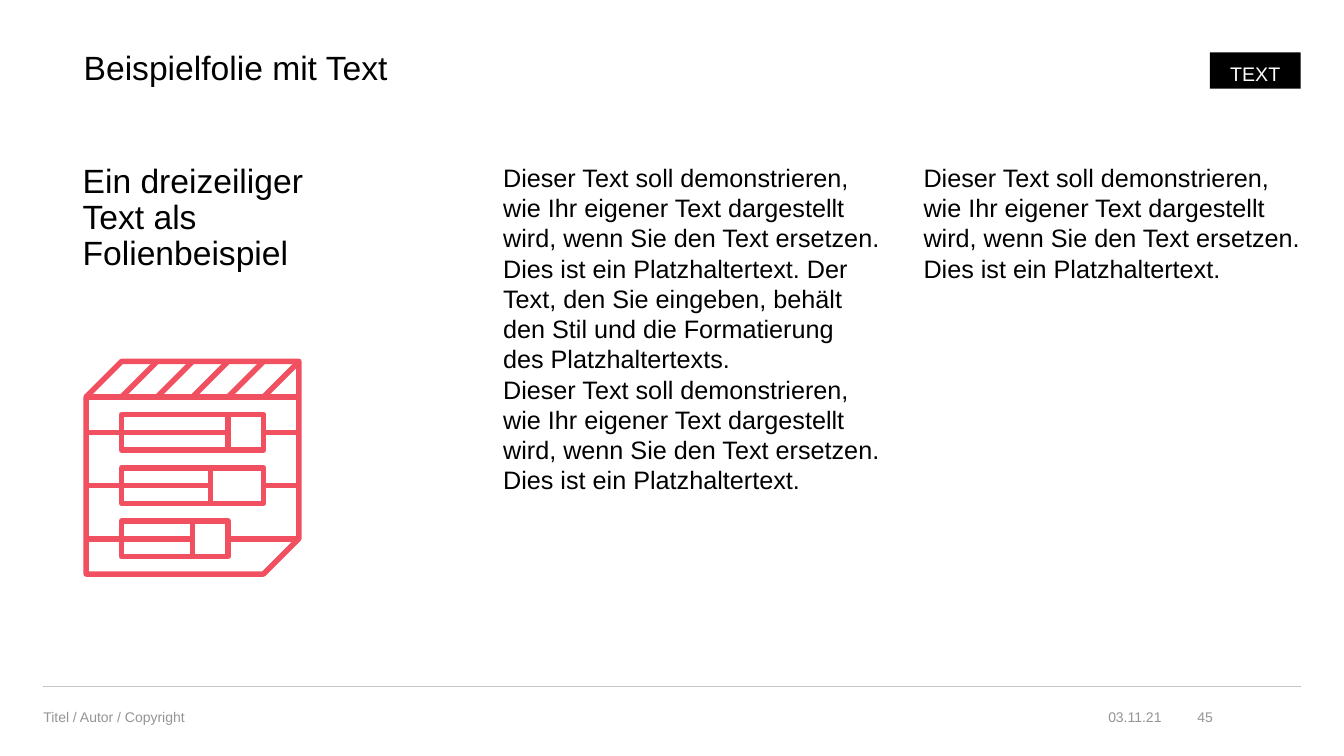
"""Build the example text slide with a heading, a slider icon and two text columns."""
import pptx
import pptx.util
import pptx.dml.color
import pptx.enum.shapes
import pptx.enum.text
from lxml import etree
from pptx.oxml.ns import qn

Inches = pptx.util.Inches
ALIGN = pptx.enum.text.PP_ALIGN
ANCHOR = pptx.enum.text.MSO_ANCHOR

BLACK, WHITE, GREY, RULE, CORAL = "000000", "FFFFFF", "949494", "C5C5C5", "F15060"

TITLE = "Beispielfolie mit Text"
TAG = "TEXT"
HEADING = ["Ein dreizeiliger", "Text als", "Folienbeispiel"]
DEMO = ("Dieser Text soll demonstrieren, wie Ihr eigener Text dargestellt wird, "
        "wenn Sie den Text ersetzen. Dies ist ein Platzhaltertext.")
STYLE_NOTE = (" Der Text, den Sie eingeben, behält den Stil und die Formatierung "
              "des Platzhaltertexts.")
COLUMNS = [(4.99, [DEMO + STYLE_NOTE, DEMO]), (9.16, [DEMO])]
FOOTER = [
    ("Titel / Autor / Copyright", 0.43, 6.07, ALIGN.LEFT),
    ("03.11.21", 10.77, 0.75, ALIGN.RIGHT),
    ("45", 11.72, 0.31, ALIGN.RIGHT),
]

ICON_LEFT, ICON_TOP, ICON_SIZE, STEP = 0.855, 3.585, 2.11, 0.352
SLIDERS = [(4, 5), (3.5, 5), (3, 4)]
SLIDER_PITCH = 1.5
STRIPES = 5


def rgb(color):
    return pptx.dml.color.RGBColor.from_string(color)


def write(frame, paragraphs, size, color, align=ALIGN.LEFT, anchor=ANCHOR.TOP,
          spacing=None, insets=(0, 0), wrap=True):
    frame.word_wrap = wrap
    frame.auto_size = pptx.enum.text.MSO_AUTO_SIZE.NONE
    frame.vertical_anchor = anchor
    frame.margin_left = frame.margin_right = Inches(insets[0])
    frame.margin_top = frame.margin_bottom = Inches(insets[1])
    for index, lines in enumerate(paragraphs):
        paragraph = frame.add_paragraph() if index else frame.paragraphs[0]
        paragraph.alignment = align
        if spacing:
            paragraph.line_spacing = spacing
        for number, line in enumerate(lines):
            if number:
                paragraph.add_line_break()
            run = paragraph.add_run()
            run.text = line
            run.font.name = "Arial"
            run.font.size = pptx.util.Pt(size)
            run.font.color.rgb = rgb(color)


def add_text(slide, box, paragraphs, *style, **options):
    frame = slide.shapes.add_textbox(*map(Inches, box)).text_frame
    write(frame, paragraphs, *style, **options)


def icon_strokes():
    """Return the icon's strokes in steps from its top left corner."""
    side = ICON_SIZE / STEP
    strokes = [
        [(0, 1), (1, 0), (side, 0), (side, side - 1), (side - 1, side), (0, side), (0, 1)],
        [(0, 1), (side, 1)],
    ]
    strokes += [[(i + 1, 1), (i + 2, 0)] for i in range(STRIPES)]
    for index, (knob, end) in enumerate(SLIDERS):
        top = 1.5 + index * SLIDER_PITCH
        middle, bottom = top + 0.5, top + 1
        strokes += [
            [(1, top), (end, top), (end, bottom), (1, bottom), (1, top)],
            [(knob, top), (knob, bottom)],
            [(0, middle), (knob, middle)],
            [(end, middle), (side, middle)],
        ]
    return strokes


def add_icon(slide):
    strokes = [[(Inches(ICON_LEFT + x * STEP), Inches(ICON_TOP + y * STEP))
                for x, y in stroke] for stroke in icon_strokes()]
    builder = slide.shapes.build_freeform(*strokes[0][0])
    for index, (start, *rest) in enumerate(strokes):
        if index:
            builder.move_to(*start)
        builder.add_line_segments(rest, close=rest[-1] == start)
    icon = builder.convert_to_shape()
    icon.shadow.inherit = False
    icon.fill.background()
    icon.line.color.rgb = rgb(CORAL)
    icon.line.width = pptx.util.Pt(3.9)
    etree.SubElement(icon.line._get_or_add_ln(), qn("a:round"))


def add_footer_rule(slide):
    rule = slide.shapes.add_connector(
        pptx.enum.shapes.MSO_CONNECTOR.STRAIGHT,
        *map(Inches, (0.43, 6.81, 12.9, 6.81)))
    rule.line.color.rgb = rgb(RULE)
    rule.line.width = pptx.util.Pt(0.5)
    etree.SubElement(rule._element.spPr, qn("a:effectLst"))


def add_tag(slide):
    tag = slide.shapes.add_shape(pptx.enum.shapes.MSO_SHAPE.RECTANGLE,
                                 *map(Inches, (12, 0.52, 0.9, 0.36)))
    tag.shadow.inherit = False
    tag.fill.solid()
    tag.fill.fore_color.rgb = rgb(BLACK)
    tag.line.fill.background()
    write(tag.text_frame, [[TAG]], 14, WHITE, align=ALIGN.RIGHT, spacing=1.2,
          insets=(0.2, 0.05), wrap=False)


def main():
    deck = pptx.Presentation()
    deck.slide_width, deck.slide_height = Inches(13.33), Inches(7.5)
    slide = deck.slides.add_slide(deck.slide_layouts[5])

    title = slide.shapes.title
    title.left, title.top, title.width, title.height = map(
        Inches, (0.83, 0.51, 12.07, 0.36))
    write(title.text_frame, [[TITLE]], 24, BLACK, spacing=0.9)

    add_footer_rule(slide)
    for left, paragraphs in COLUMNS:
        add_text(slide, (left, 1.61, 3.74, 4.57), [[text] for text in paragraphs], 18, BLACK)
    for text, left, width, align in FOOTER:
        add_text(slide, (left, 6.92, width, 0.39), [[text]], 10, GREY,
                 align=align, anchor=ANCHOR.MIDDLE)
    add_text(slide, (0.82, 1.65, 3.74, 1.06), [HEADING], 24, BLACK,
             anchor=ANCHOR.BOTTOM, spacing=0.9)
    add_icon(slide)
    add_tag(slide)
    deck.save("out.pptx")


if __name__ == "__main__":
    main()
